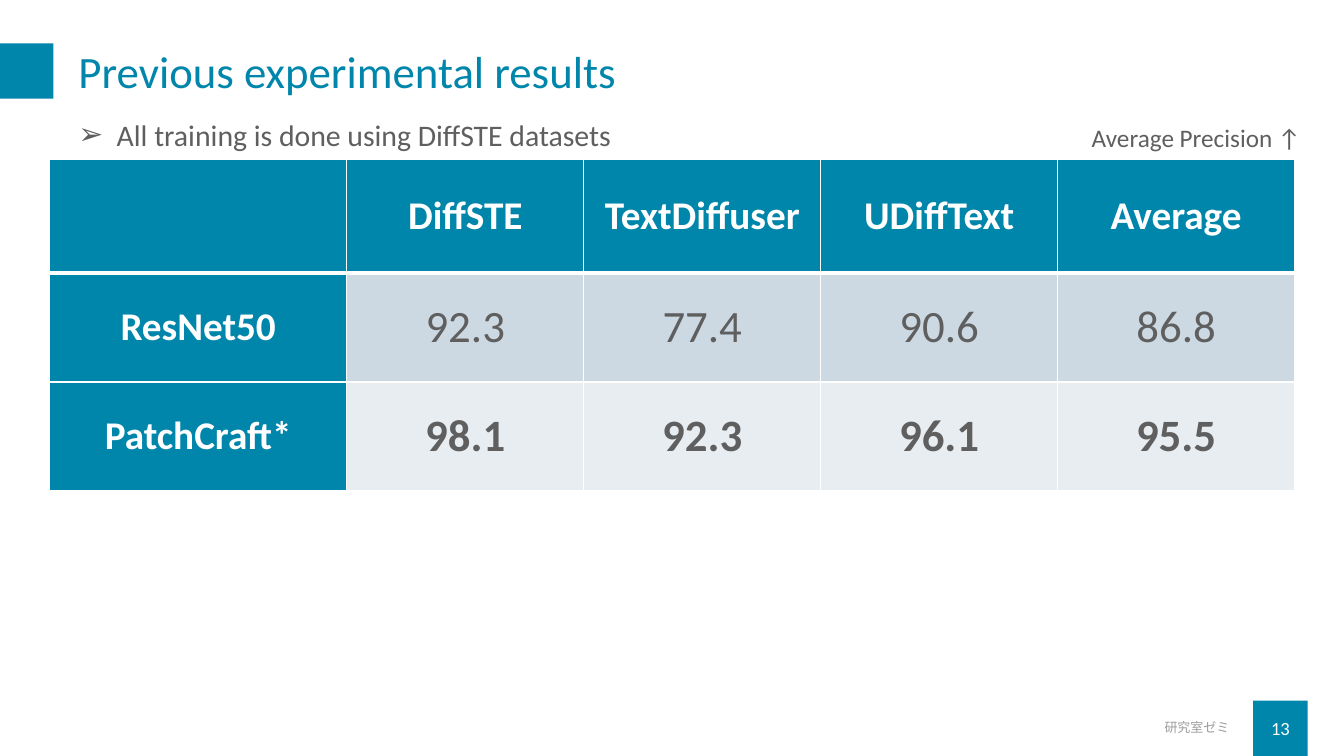
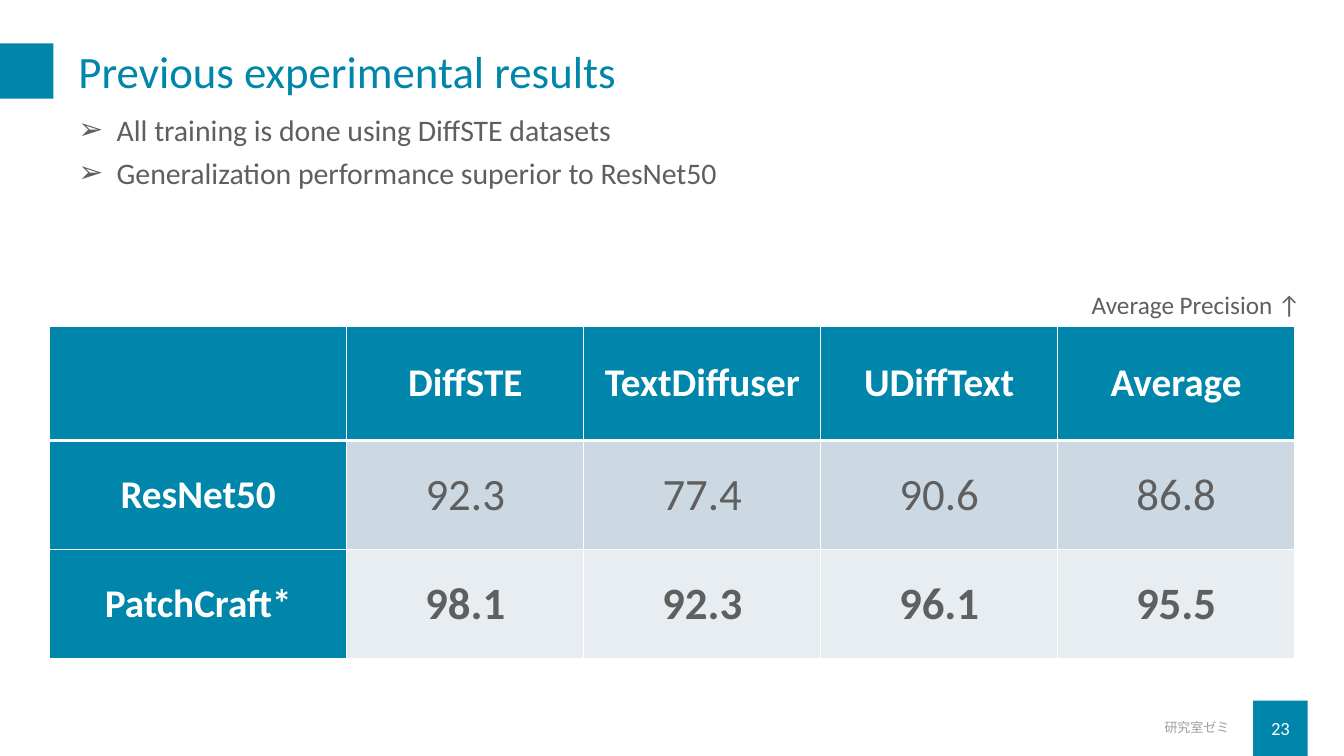
from lxml import etree
from pptx import Presentation
from pptx.dml.color import RGBColor
from pptx.enum.shapes import MSO_SHAPE
from pptx.enum.text import MSO_ANCHOR, PP_ALIGN
from pptx.oxml.ns import qn
from pptx.util import Inches, Pt

RECTANGLE = MSO_SHAPE.RECTANGLE
TOP, MIDDLE = MSO_ANCHOR.TOP, MSO_ANCHOR.MIDDLE
LEFT, CENTER, RIGHT = PP_ALIGN.LEFT, PP_ALIGN.CENTER, PP_ALIGN.RIGHT

TEAL = RGBColor(0x00, 0x86, 0xAB)
GRAY = RGBColor(0x5F, 0x5F, 0x5F)
FOOTER_GRAY = RGBColor(0x9D, 0x9D, 0x9D)
BAND_DARK = RGBColor(0xCC, 0xD9, 0xE2)
BAND_LIGHT = RGBColor(0xE7, 0xED, 0xF1)
WHITE = RGBColor(0xFF, 0xFF, 0xFF)
FONT = "Calibri"

# Content
TITLE = "Previous experimental results"
FOOTER = "研究室ゼミ"
METRIC = "Average Precision ↑"
RESULTS = [
    ["", "DiffSTE", "TextDiffuser", "UDiffText", "Average"],
    ["ResNet50", "92.3", "77.4", "90.6", "86.8"],
    ["PatchCraft*", "98.1", "92.3", "96.1", "95.5"],
]
BEST_ROW = 2
COLUMN_WIDTHS = [2.95] + [2.35] * 4
ROW_HEIGHTS = [1.13, 1.08, 1.08]
TRAINING_POINT = "All training is done using DiffSTE datasets"
SLIDES = [
    {"number": "13", "points": [TRAINING_POINT],
     "points_height": 0.71, "table_top": 1.58},
    {"number": "23",
     "points": [TRAINING_POINT, "Generalization performance superior to ResNet50"],
     "points_height": 1.04, "table_top": 3.24},
]


def style(para, size, color, bold=False, align=LEFT):
    para.alignment = align
    for span in para.runs:
        span.font.name = FONT
        span.font.size = Pt(size)
        span.font.color.rgb = color
        span.font.bold = bold


def add_text(page, place, lines, size, color, align=LEFT, anchor=MIDDLE,
             wrap=True, spacing=None):
    box = page.shapes.add_textbox(*map(Inches, place))
    frame = box.text_frame
    frame.word_wrap = wrap
    frame.vertical_anchor = anchor
    frame.text = "\n".join(lines)
    for para in frame.paragraphs:
        style(para, size, color, align=align)
        if spacing:
            para.line_spacing = spacing
    return frame


def add_block(page, left, top):
    block = page.shapes.add_shape(
        RECTANGLE, Inches(left), Inches(top), Inches(0.54), Inches(0.55))
    block.shadow.inherit = False
    block.fill.solid()
    block.fill.fore_color.rgb = TEAL
    block.line.fill.background()


def add_frame(page, number):
    """Title, accent blocks and footer shared by every slide."""
    add_block(page, 12.43, 6.95)
    add_block(page, -0.01, 0.43)
    add_text(page, (0.68, 0.34, 12.17, 0.79), [TITLE], 32, TEAL, spacing=0.9)
    add_text(page, (12.43, 7.02, 0.54, 0.4), [number], 13.3, WHITE, CENTER)
    add_text(page, (7.79, 7.02, 4.5, 0.4), [FOOTER], 9.3, FOOTER_GRAY, RIGHT)


def add_points(page, points, height):
    frame = add_text(page, (0.68, 0.94, 12.17, height), points, 21.3, GRAY,
                     spacing=1.2)
    for para in frame.paragraphs:
        props = para._p.get_or_add_pPr()
        props.set("marL", str(Inches(0.38)))
        props.set("indent", str(-Inches(0.38)))
        etree.SubElement(props, qn("a:buFont"), typeface="Wingdings")
        etree.SubElement(props, qn("a:buChar"), char="➢")
        props[-2].set("typeface", "Arial")


def set_borders(cell, top, bottom):
    props = cell._tc.get_or_add_tcPr()
    for side, width in (("L", 1), ("R", 1), ("T", top), ("B", bottom)):
        line = etree.SubElement(props, qn("a:ln" + side), w=str(Pt(width)))
        fill = etree.SubElement(line, qn("a:solidFill"))
        etree.SubElement(fill, qn("a:srgbClr"), val=str(WHITE))


def add_results(page, top):
    table = page.shapes.add_table(
        len(RESULTS), len(RESULTS[0]), Inches(0.49), Inches(top),
        Inches(sum(COLUMN_WIDTHS)), Inches(sum(ROW_HEIGHTS))).table
    for column, width in zip(table.columns, COLUMN_WIDTHS):
        column.width = Inches(width)
    for row, height in zip(table.rows, ROW_HEIGHTS):
        row.height = Inches(height)

    for r, values in enumerate(RESULTS):
        for c, value in enumerate(values):
            cell = table.cell(r, c)
            heading = r == 0 or c == 0
            # A thick rule separates the header from the results
            set_borders(cell, 3 if r == 1 else 1, 3 if r == 0 else 1)
            cell.fill.solid()
            band = BAND_DARK if r % 2 else BAND_LIGHT
            cell.fill.fore_color.rgb = TEAL if heading else band
            cell.vertical_anchor = MIDDLE
            cell.text_frame.text = value
            style(cell.text_frame.paragraphs[0], 28 if heading else 32,
                  WHITE if heading else GRAY, heading or r == BEST_ROW, CENTER)


def main():
    deck = Presentation()
    deck.slide_width, deck.slide_height = Inches(13.33), Inches(7.5)
    for content in SLIDES:
        page = deck.slides.add_slide(deck.slide_layouts[6])
        add_frame(page, content["number"])
        add_points(page, content["points"], content["points_height"])
        add_results(page, content["table_top"])
        # Metric label just above the table
        add_text(page, (10.73, content["table_top"] - 0.42, 2.3, 0.4), [METRIC],
                 18, GRAY, anchor=TOP, wrap=False)
    deck.save("out.pptx")


if __name__ == "__main__":
    main()
